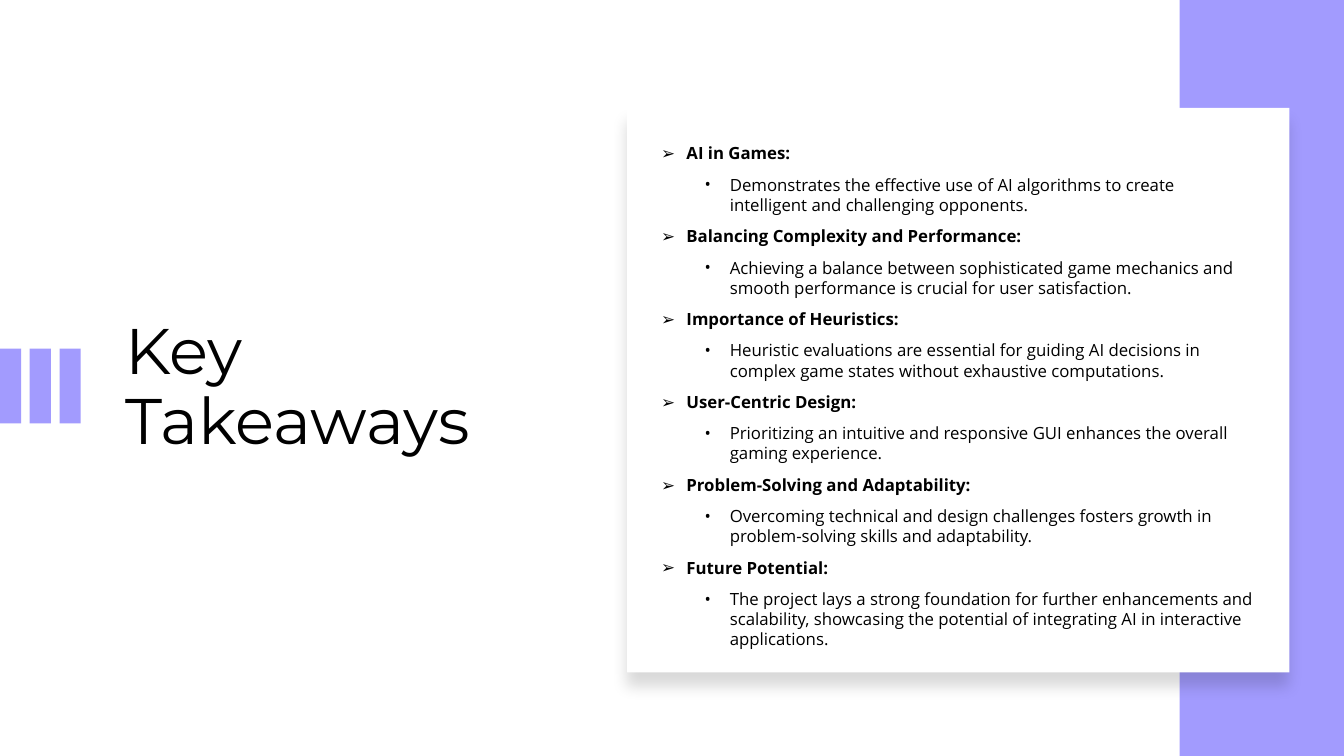
from dataclasses import dataclass

from lxml import etree
from pptx import Presentation
from pptx.dml.color import RGBColor
from pptx.enum import shapes, text
from pptx.oxml import ns
from pptx.util import Inches, Pt


@dataclass(frozen=True)
class Theme:
    accent: str = "A29BFE"
    card: str = "FFFFFF"
    ink: str = "000000"
    title_font: str = "Montserrat"
    body_font: str = "Open Sans"
    title_size: int = 46
    body_size: int = 12


THEME = Theme()

TAKEAWAYS = [
    ("AI in Games:",
     "Demonstrates the effective use of AI algorithms to create intelligent and "
     "challenging opponents."),
    ("Balancing Complexity and Performance:",
     "Achieving a balance between sophisticated game mechanics and smooth performance "
     "is crucial for user satisfaction."),
    ("Importance of Heuristics:",
     "Heuristic evaluations are essential for guiding AI decisions in complex game "
     "states without exhaustive computations."),
    ("User-Centric Design:",
     "Prioritizing an intuitive and responsive GUI enhances the overall gaming "
     "experience."),
    ("Problem-Solving and Adaptability:",
     "Overcoming technical and design challenges fosters growth in problem-solving "
     "skills and adaptability."),
    ("Future Potential:",
     "The project lays a strong foundation for further enhancements and scalability, "
     "showcasing the potential of integrating AI in interactive applications."),
]


def style_font(font, name, size, bold=False):
    font.name = name
    font.size = Pt(size)
    font.bold = bold
    font.color.rgb = RGBColor.from_string(THEME.ink)


def add_block(page, left, top, width, height, colour):
    block = page.shapes.add_shape(
        shapes.MSO_SHAPE.RECTANGLE,
        Inches(left), Inches(top), Inches(width), Inches(height))
    block.shadow.inherit = False
    block.fill.solid()
    block.fill.fore_color.rgb = RGBColor.from_string(colour)
    block.line.fill.background()
    return block


def add_soft_shadow(shape):
    effects = shape._element.spPr.find(ns.qn("a:effectLst"))
    shadow = etree.SubElement(
        effects, ns.qn("a:outerShdw"), blurRad=str(Pt(11)), dist=str(Pt(10)),
        dir=str(90 * 60000), algn="t", rotWithShape="0")
    colour = etree.SubElement(shadow, ns.qn("a:srgbClr"), val=THEME.ink)
    etree.SubElement(colour, ns.qn("a:alpha"), val="15000")


def set_title(page, wording):
    title = page.shapes.title
    title.left, title.top = Inches(1.14), Inches(1.46)
    title.width, title.height = Inches(4.26), Inches(4.79)
    frame = title.text_frame
    frame.text = wording
    frame.word_wrap = True
    frame.auto_size = text.MSO_AUTO_SIZE.NONE
    frame.vertical_anchor = text.MSO_ANCHOR.MIDDLE
    para = frame.paragraphs[0]
    para.alignment = text.PP_ALIGN.LEFT
    para.line_spacing = 0.9
    style_font(para.runs[0].font, THEME.title_font, THEME.title_size)


def write_bullet(para, wording, level, mark, indent, bold):
    para.text = wording
    para.level = level
    para.space_after = Pt(8)
    para.line_spacing = 1.0
    properties = para._p.get_or_add_pPr()
    properties.set("marL", str(Inches(indent)))
    properties.set("indent", str(Inches(-0.25)))
    etree.SubElement(properties, ns.qn("a:buFont"), typeface=THEME.body_font)
    etree.SubElement(properties, ns.qn("a:buChar"), char=mark)
    style_font(para.runs[0].font, THEME.body_font, THEME.body_size, bold)


def add_takeaways(page, takeaways):
    box = page.shapes.add_textbox(
        Inches(6.33), Inches(1.37), Inches(6.22), Inches(5.15))
    frame = box.text_frame
    frame.word_wrap = True
    for number, (heading, detail) in enumerate(takeaways):
        para = frame.add_paragraph() if number else frame.paragraphs[0]
        write_bullet(para, heading, 0, "➢", 0.38, True)
        write_bullet(frame.add_paragraph(), detail, 1, "•", 0.81, False)


def main():
    deck = Presentation()
    deck.slide_width, deck.slide_height = Inches(13.33), Inches(7.5)
    page = deck.slides.add_slide(deck.slide_layouts.get_by_name("Title Only"))

    # Title with its three accent bars
    set_title(page, "Key Takeaways")
    for number in range(3):
        add_block(page, number * 0.295, 3.46, 0.21, 0.74, THEME.accent)

    # Side band and raised card
    add_block(page, 11.7, 0, 1.63, 7.5, THEME.accent)
    card = add_block(page, 6.22, 1.07, 6.57, 5.6, THEME.card)
    add_soft_shadow(card)

    # Takeaways on the card
    add_takeaways(page, TAKEAWAYS)

    deck.save("out.pptx")


if __name__ == "__main__":
    main()
